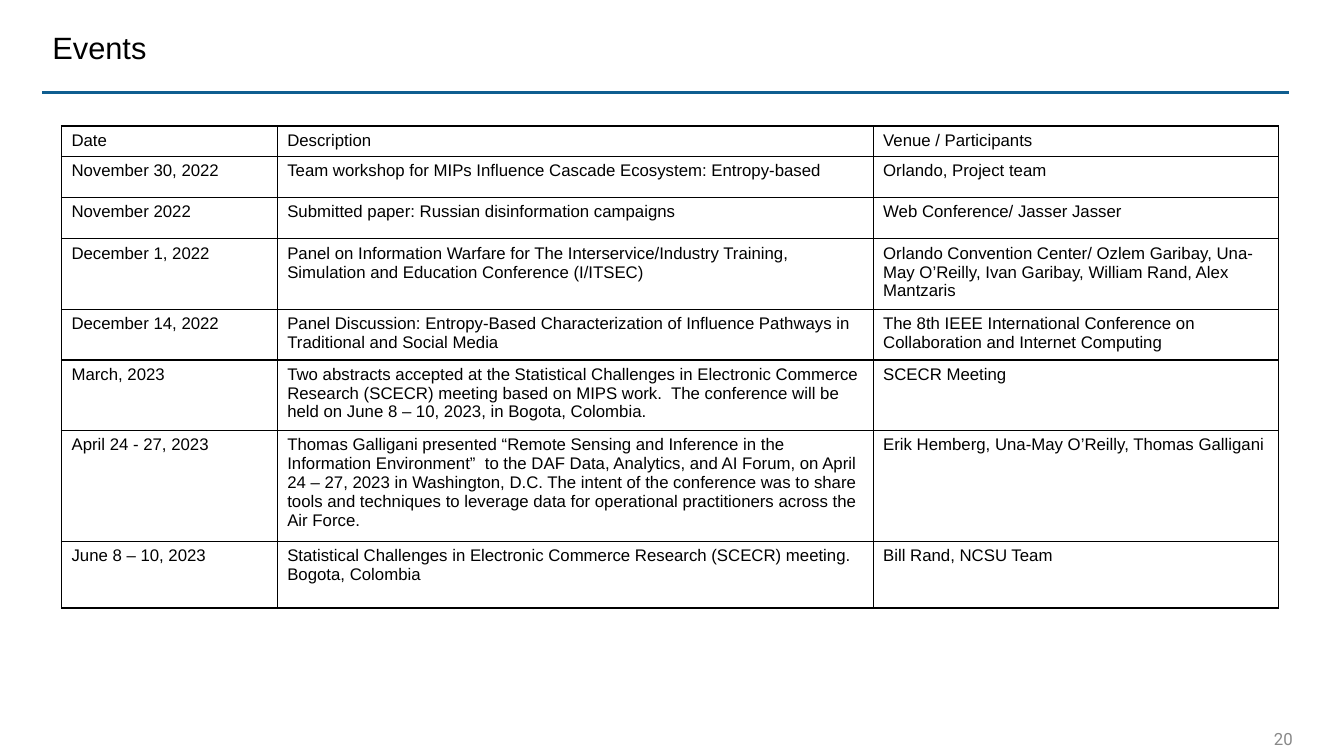
from dataclasses import dataclass

from lxml.etree import SubElement
from pptx import Presentation
from pptx.dml.color import RGBColor
from pptx.enum.shapes import MSO_CONNECTOR
from pptx.enum.text import MSO_ANCHOR, MSO_AUTO_SIZE, PP_ALIGN
from pptx.oxml.ns import qn
from pptx.slide import Slide
from pptx.table import _Cell
from pptx.text.text import TextFrame
from pptx.util import Inches, Pt

BLACK = "000000"
RULE_BLUE = "0F5E90"
NUMBER_GREY = "898989"
COLUMN_WIDTHS = (2.14, 5.91, 4.02)


@dataclass(frozen=True)
class Event:
    date: str
    description: str
    venue: str
    height: float


EVENTS = (
    Event("Date", "Description", "Venue / Participants", 0.28),
    Event("November 30, 2022",
          "Team workshop for MIPs Influence Cascade Ecosystem: Entropy-based",
          "Orlando, Project team", 0.41),
    Event("November 2022", "Submitted paper: Russian disinformation campaigns",
          "Web Conference/ Jasser Jasser", 0.41),
    Event("December 1, 2022",
          "Panel on Information Warfare for The Interservice/Industry Training, "
          "Simulation and Education Conference (I/ITSEC)",
          "Orlando Convention Center/ Ozlem Garibay, Una-May O’Reilly, "
          "Ivan Garibay, William Rand, Alex Mantzaris", 0.66),
    Event("December 14, 2022",
          "Panel Discussion: Entropy-Based Characterization of Influence Pathways "
          "in Traditional and Social Media",
          "The 8th IEEE International Conference on Collaboration and "
          "Internet Computing", 0.47),
    Event("March, 2023",
          "Two abstracts accepted at the Statistical Challenges in Electronic "
          "Commerce Research (SCECR) meeting based on MIPS work.  The conference "
          "will be held on June 8 – 10, 2023, in Bogota, Colombia.",
          "SCECR Meeting", 0.66),
    Event("April 24 - 27, 2023",
          "Thomas Galligani presented “Remote Sensing and Inference in the "
          "Information Environment”  to the DAF Data, Analytics, and AI Forum, "
          "on April 24 – 27, 2023 in Washington, D.C. The intent of the conference "
          "was to share tools and techniques to leverage data for operational "
          "practitioners across the Air Force.",
          "Erik Hemberg, Una-May O’Reilly, Thomas Galligani", 1.03),
    Event("June 8 – 10, 2023",
          "Statistical Challenges in Electronic Commerce Research (SCECR) meeting. "
          "Bogota, Colombia",
          "Bill Rand, NCSU Team", 0.66),
)


def rgb(color: str) -> RGBColor:
    return RGBColor.from_string(color)


def write(frame: TextFrame, text: str, size: float, font: str = "Arial",
          color: str = BLACK, align: PP_ALIGN = PP_ALIGN.LEFT) -> None:
    frame.text = text
    frame.word_wrap = True
    paragraph = frame.paragraphs[0]
    paragraph.alignment = align
    paragraph.font.name = font
    paragraph.font.size = Pt(size)
    paragraph.font.color.rgb = rgb(color)


def add_borders(cell: _Cell, width: float = 1) -> None:
    properties = cell._tc.get_or_add_tcPr()
    for position, side in enumerate(("lnL", "lnR", "lnT", "lnB")):
        border = SubElement(properties, qn(f"a:{side}"), w=str(Pt(width)))
        fill = SubElement(border, qn("a:solidFill"))
        SubElement(fill, qn("a:srgbClr"), val=BLACK)
        properties.insert(position, border)


def add_title(slide: Slide) -> None:
    title = slide.shapes.title
    title.left, title.top = Inches(0.42), Inches(0.13)
    title.width, title.height = Inches(11.31), Inches(0.67)
    write(title.text_frame, "Events", 22)
    title.text_frame.auto_size = MSO_AUTO_SIZE.NONE
    title.text_frame.vertical_anchor = MSO_ANCHOR.MIDDLE


def add_title_rule(slide: Slide) -> None:
    rule = slide.shapes.add_connector(
        MSO_CONNECTOR.STRAIGHT,
        Inches(0.42), Inches(0.92), Inches(12.78), Inches(0.92))
    rule.line.color.rgb = rgb(RULE_BLUE)
    rule.line.width = Pt(1.75)
    SubElement(rule._element.spPr, qn("a:effectLst"))


def add_page_number(slide: Slide) -> None:
    number = slide.shapes.add_textbox(
        Inches(11.81), Inches(7.17), Inches(1.11), Inches(0.32))
    write(number.text_frame, "20", 12, "Roboto", NUMBER_GREY, PP_ALIGN.RIGHT)
    number.text_frame.vertical_anchor = MSO_ANCHOR.MIDDLE


def add_events(slide: Slide) -> None:
    table = slide.shapes.add_table(
        len(EVENTS), len(COLUMN_WIDTHS), Inches(0.61), Inches(1.25),
        Inches(sum(COLUMN_WIDTHS)),
        Inches(sum(event.height for event in EVENTS))).table
    table.first_row = False
    table.horz_banding = False
    for column, width in zip(table.columns, COLUMN_WIDTHS):
        column.width = Inches(width)
    for row, event in zip(table.rows, EVENTS):
        row.height = Inches(event.height)
        for cell, text in zip(row.cells, (event.date, event.description, event.venue)):
            write(cell.text_frame, text, 12)
            cell.fill.background()
            add_borders(cell)


def main() -> None:
    presentation = Presentation()
    presentation.slide_width = Inches(13.33)
    presentation.slide_height = Inches(7.5)
    slide = presentation.slides.add_slide(presentation.slide_layouts[5])
    add_title_rule(slide)
    add_page_number(slide)
    add_title(slide)
    add_events(slide)
    presentation.save("out.pptx")


if __name__ == "__main__":
    main()
